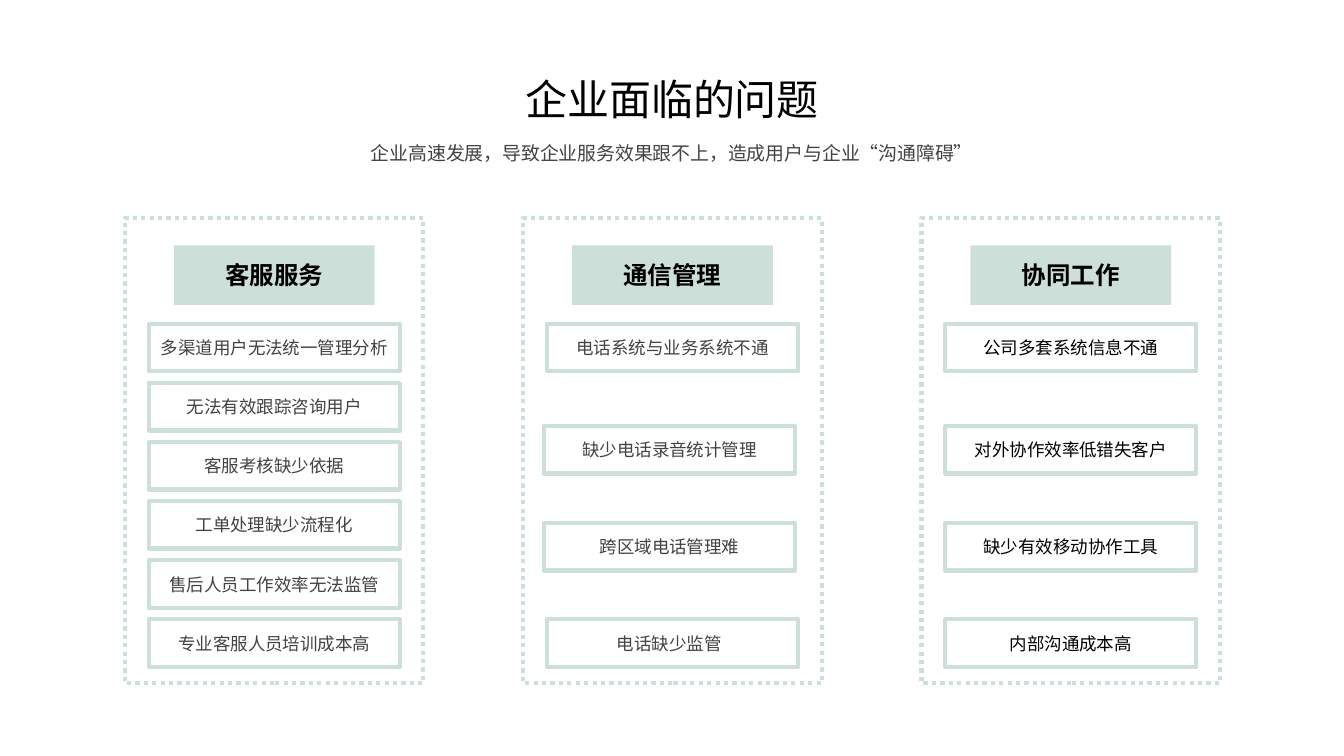
from pptx import Presentation
from pptx.dml.color import RGBColor as Rgb
from pptx.enum.dml import MSO_LINE as Dash
from pptx.enum.shapes import MSO_SHAPE as Kind
from pptx.enum.text import MSO_ANCHOR as Anchor, MSO_AUTO_SIZE as Fit, PP_ALIGN as Align
from pptx.util import Inches as In, Pt

WIDE, HIGH = 13.33, 7.5

# Colours and type sizes
THEME = {
    "mint": Rgb.from_string("CCDFD9"),
    "band": Rgb.from_string("CDDFD9"),
    "black": Rgb.from_string("000000"),
    "grey": Rgb.from_string("424242"),
    "title": {"name": "Lato", "size": Pt(30)},
    "lead": {"name": "Roboto", "size": Pt(13.5)},
    "head": {"name": "Roboto", "size": Pt(17.5), "bold": True},
    "item": {"name": "Roboto", "size": Pt(12.5)},
}

# Column grid: middle of the first column and distance to the next
FIRST, PITCH = 2.72, 3.95
PANEL = (2.96, 4.62)
BAND = (1.99, 0.59)
FRAME = (2.49, 0.47)
TOP, STEP = 3.45, 0.586  # middle of the first row, height of a row
DENSE = (0, 1, 2, 3, 4, 5)
LOOSE = (0, 1.73, 3.37, 5)

# Heading, text colour, rows, (item, frame shift, text shift)
COLS = [
    ("客服服务", "grey", DENSE, [
        ("多渠道用户无法统一管理分析", 0, 0),
        ("无法有效跟踪咨询用户", 0, 0),
        ("客服考核缺少依据", 0, 0),
        ("工单处理缺少流程化", 0, 0),
        ("售后人员工作效率无法监管", 0, 0),
        ("专业客服人员培训成本高", 0, 0),
    ]),
    ("通信管理", "grey", LOOSE, [
        ("电话系统与业务系统不通", 0, 0),
        ("缺少电话录音统计管理", -0.03, -0.03),
        ("跨区域电话管理难", -0.03, -0.03),
        ("电话缺少监管", 0, -0.03),
    ]),
    ("协同工作", "black", LOOSE, [
        ("公司多套系统信息不通", 0, 0),
        ("对外协作效率低错失客户", 0, 0),
        ("缺少有效移动协作工具", 0, 0),
        ("内部沟通成本高", 0, 0),
    ]),
]


def put(thing, vals):
    for key, val in vals.items():
        setattr(thing, key, val)


def place(x, y, size):
    """Left, top, width and height of an area with its middle at x, y."""
    w, h = size
    return In(x - w / 2), In(y - h / 2), In(w), In(h)


def box(slide, x, y, size, fill=None, dash=None):
    """A filled band, or an open frame if there is no fill."""
    rect = slide.shapes.add_shape(Kind.RECTANGLE, *place(x, y, size))
    rect.shadow.inherit = False
    if fill:
        rect.fill.solid()
        rect.fill.fore_color.rgb = THEME[fill]
        rect.line.fill.background()
        return
    rect.fill.background()
    rect.line.color.rgb = THEME["mint"]
    put(rect.line, {"width": Pt(3), "dash_style": dash})


def label(slide, x, y, size, text, style, tone, wrap=False):
    frame = slide.shapes.add_textbox(*place(x, y, size)).text_frame
    edge = In(0.04)
    put(frame, {
        "margin_left": edge, "margin_right": edge,
        "margin_top": edge, "margin_bottom": edge,
        "vertical_anchor": Anchor.MIDDLE,
        "auto_size": Fit.SHAPE_TO_FIT_TEXT, "word_wrap": wrap,
    })
    para = frame.paragraphs[0]
    para.alignment = Align.CENTER
    run = para.add_run()
    run.text = text
    put(run.font, THEME[style])
    run.font.color.rgb = THEME[tone]


def column(slide, x, head, tone, rows, items):
    box(slide, x, 4.47, PANEL, dash=Dash.ROUND_DOT)
    box(slide, x, 2.73, BAND, fill="band")
    label(slide, x, 2.73, (1.07, 0.37), head, "head", "black")
    for row, (text, shift, nudge) in zip(rows, items):
        y = TOP + row * STEP
        box(slide, x + shift, y, FRAME)
        size = (0.08 + 0.175 * len(text), 0.29)
        label(slide, x + nudge, y, size, text, "item", tone)


def main():
    deck = Presentation()
    put(deck, {"slide_width": In(WIDE), "slide_height": In(HIGH)})
    slide = deck.slides.add_slide(deck.slide_layouts[6])

    # Title and lead
    mid = WIDE / 2
    label(slide, mid, 0.98, (3.02, 0.58), "企业面临的问题", "title", "black")
    label(slide, mid, 1.52, (6.42, 0.31),
          "企业高速发展，导致企业服务效果跟不上，造成用户与企业“沟通障碍”",
          "lead", "grey", wrap=True)

    # Three columns of problems
    for i, col in enumerate(COLS):
        column(slide, FIRST + i * PITCH, *col)

    deck.save("out.pptx")


if __name__ == "__main__":
    main()
